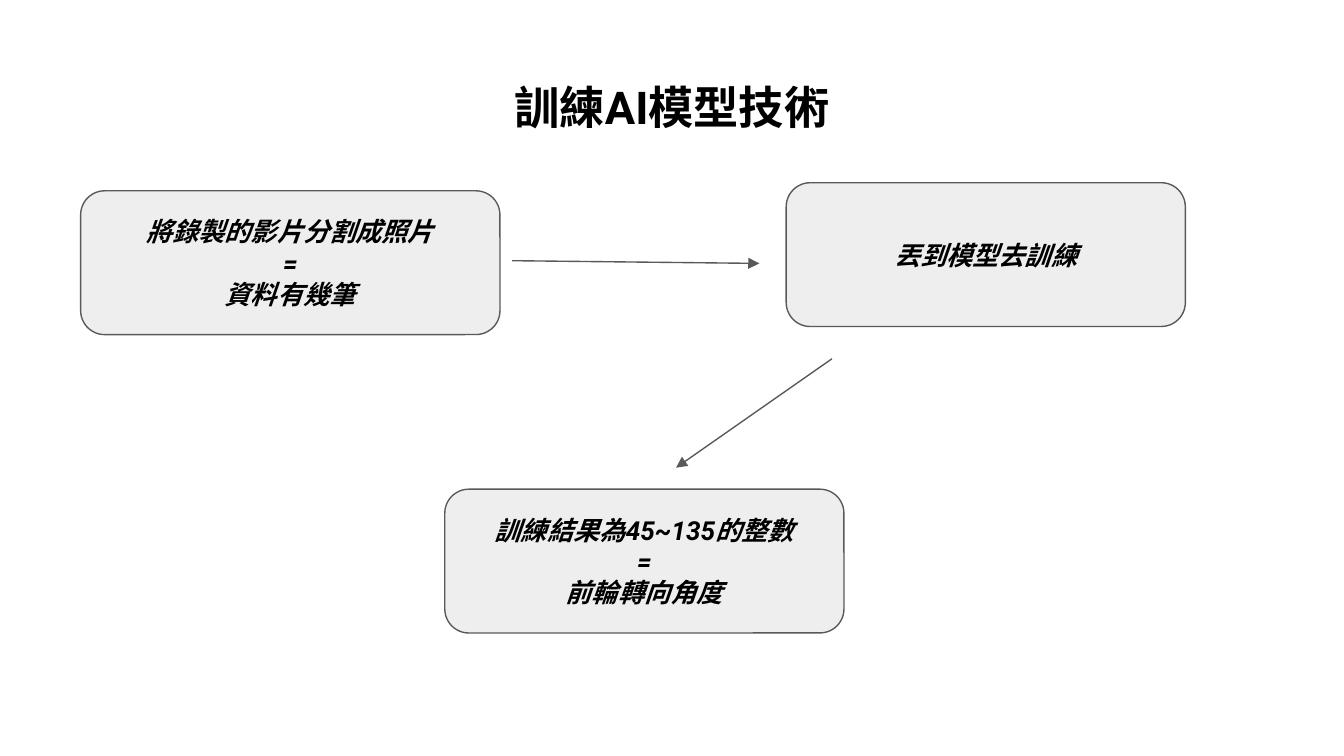
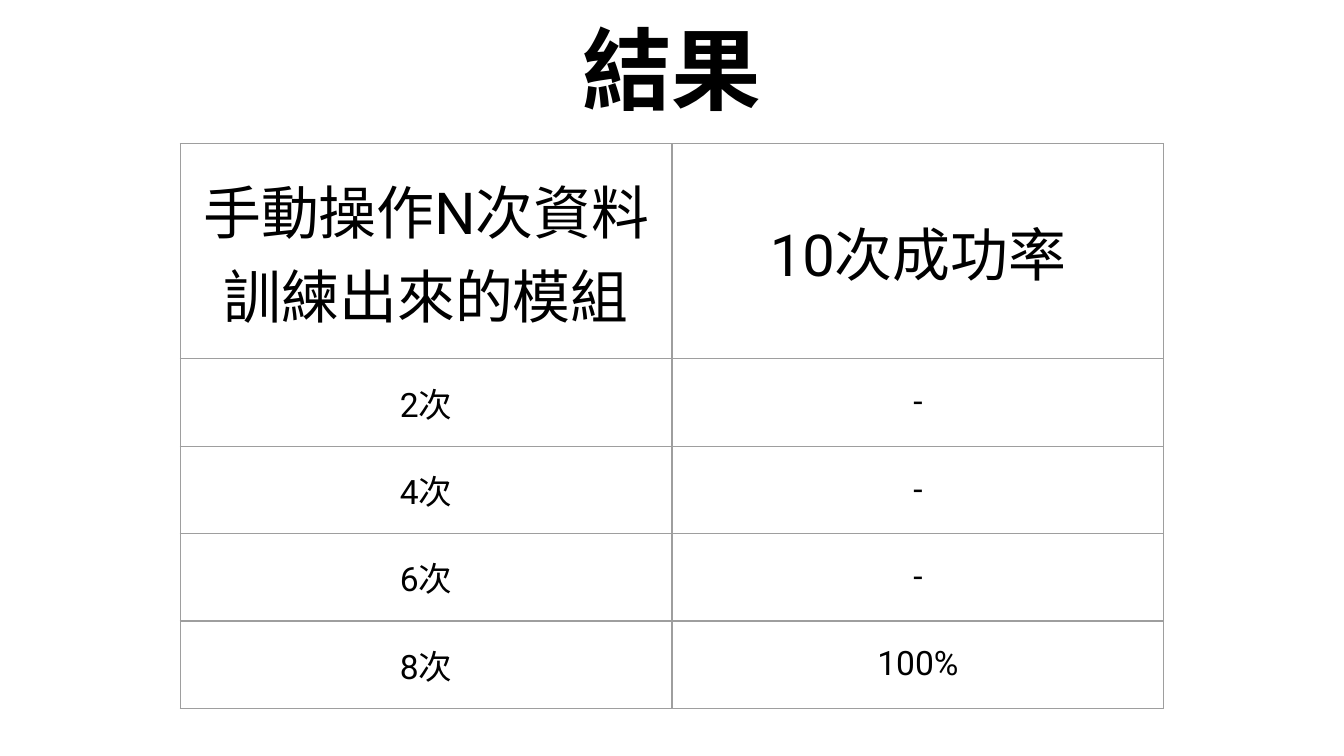
from lxml.etree import SubElement
from pptx import Presentation
from pptx.dml.color import RGBColor
from pptx.enum.shapes import MSO_CONNECTOR, MSO_SHAPE
from pptx.enum.text import MSO_ANCHOR, MSO_AUTO_SIZE, PP_ALIGN
from pptx.oxml.ns import qn
from pptx.util import Inches, Pt

COLORS = {"text": "000000", "box": "EEEEEE", "line": "595959", "grid": "9E9E9E", "bg": "FFFFFF"}
FONT = "Roboto"
MARGIN = Inches(0.1)
LINE_WIDTH = Pt(0.75)


def rgb(name):
    return RGBColor.from_string(COLORS[name])


def add_slide(prs):
    s = prs.slides.add_slide(prs.slide_layouts[6])
    s.background.fill.solid()
    s.background.fill.fore_color.rgb = rgb("bg")
    return s


def write(tf, lines, size, bold=False, italic=False, east_asian=True):
    for i, line in enumerate(lines):
        p = tf.add_paragraph() if i else tf.paragraphs[0]
        p.alignment = PP_ALIGN.CENTER
        r = p.add_run()
        r.text = line
        r.font.name = FONT
        r.font.size = Pt(size)
        r.font.bold = bold
        r.font.italic = italic
        r.font.color.rgb = rgb("text")
        if east_asian:
            SubElement(r.font._element, qn("a:ea"), typeface=FONT)


def set_frame(tf, anchor):
    tf.word_wrap = True
    tf.auto_size = MSO_AUTO_SIZE.NONE
    tf.vertical_anchor = anchor
    tf.margin_left = tf.margin_right = tf.margin_top = tf.margin_bottom = MARGIN


def add_title(s, text, left, top, width, height, size):
    tf = s.shapes.add_textbox(Inches(left), Inches(top), Inches(width), Inches(height)).text_frame
    set_frame(tf, MSO_ANCHOR.TOP)
    write(tf, [text], size, bold=True)


def add_step(s, lines, left, top, width=2.97):
    sp = s.shapes.add_shape(MSO_SHAPE.ROUNDED_RECTANGLE,
                            Inches(left), Inches(top), Inches(width), Inches(1.07))
    sp.shadow.inherit = False
    sp.fill.solid()
    sp.fill.fore_color.rgb = rgb("box")
    sp.line.color.rgb = rgb("line")
    sp.line.width = LINE_WIDTH
    set_frame(sp.text_frame, MSO_ANCHOR.MIDDLE)
    write(sp.text_frame, lines, 14, bold=True, italic=True)


def add_arrow(s, x1, y1, x2, y2):
    cxn = s.shapes.add_connector(MSO_CONNECTOR.STRAIGHT,
                                 Inches(x1), Inches(y1), Inches(x2), Inches(y2))
    cxn.line.color.rgb = rgb("line")
    cxn.line.width = LINE_WIDTH
    SubElement(cxn.line._get_or_add_ln(), qn("a:tailEnd"), type="triangle")
    SubElement(cxn._element.spPr, qn("a:effectLst"))


def set_borders(cell):
    tcPr = cell._tc.get_or_add_tcPr()
    for side in ("lnL", "lnR", "lnT", "lnB"):
        ln = SubElement(tcPr, qn(f"a:{side}"), w=str(int(LINE_WIDTH)))
        fill = SubElement(ln, qn("a:solidFill"))
        SubElement(fill, qn("a:srgbClr"), val=COLORS["grid"])


def add_table(s, rows, left, top, col_width, heights, sizes):
    tbl = s.shapes.add_table(len(rows), len(rows[0]), Inches(left), Inches(top),
                             Inches(col_width * len(rows[0])), Inches(sum(heights))).table
    tbl.first_row = tbl.horz_banding = False
    for col in tbl.columns:
        col.width = Inches(col_width)
    for i, (values, height, size) in enumerate(zip(rows, heights, sizes)):
        tbl.rows[i].height = Inches(height)
        for j, value in enumerate(values):
            cell = tbl.cell(i, j)
            cell.margin_left = cell.margin_right = cell.margin_top = cell.margin_bottom = MARGIN
            cell.vertical_anchor = MSO_ANCHOR.MIDDLE
            set_borders(cell)
            cell.fill.background()
            write(cell.text_frame, [value], size, east_asian=False)


def build_training(prs):
    s = add_slide(prs)
    add_title(s, "訓練AI模型技術", 0.34, 0.49, 9.32, 0.63, 24.2)
    add_step(s, ["將錄製的影片分割成照片", "=", "資料有幾筆"], 0.6, 1.42, 3.12)
    add_arrow(s, 3.81, 1.94, 5.65, 1.96)
    add_step(s, ["丟到模型去訓練"], 5.85, 1.36)
    add_step(s, ["訓練結果為45~135的整數", "=", "前輪轉向角度"], 3.31, 3.64)
    add_arrow(s, 6.19, 2.67, 5.03, 3.48)


def build_results(prs):
    s = add_slide(prs)
    add_title(s, "結果", 2.9, 0, 4.2, 0.88, 48)
    rows = [
        ("手動操作N次資料訓練出來的模組", "10次成功率"),
        ("2次", "-"),
        ("4次", "-"),
        ("6次", "-"),
        ("8次", "100%"),
    ]
    add_table(s, rows, 1.34, 1.07, 3.66, [1.6] + [0.65] * 4, [31] + [18] * 4)


def main():
    prs = Presentation()
    prs.slide_width = Inches(10)
    prs.slide_height = Inches(10 * 9 / 16)
    build_training(prs)
    build_results(prs)
    prs.save("out.pptx")


if __name__ == "__main__":
    main()
